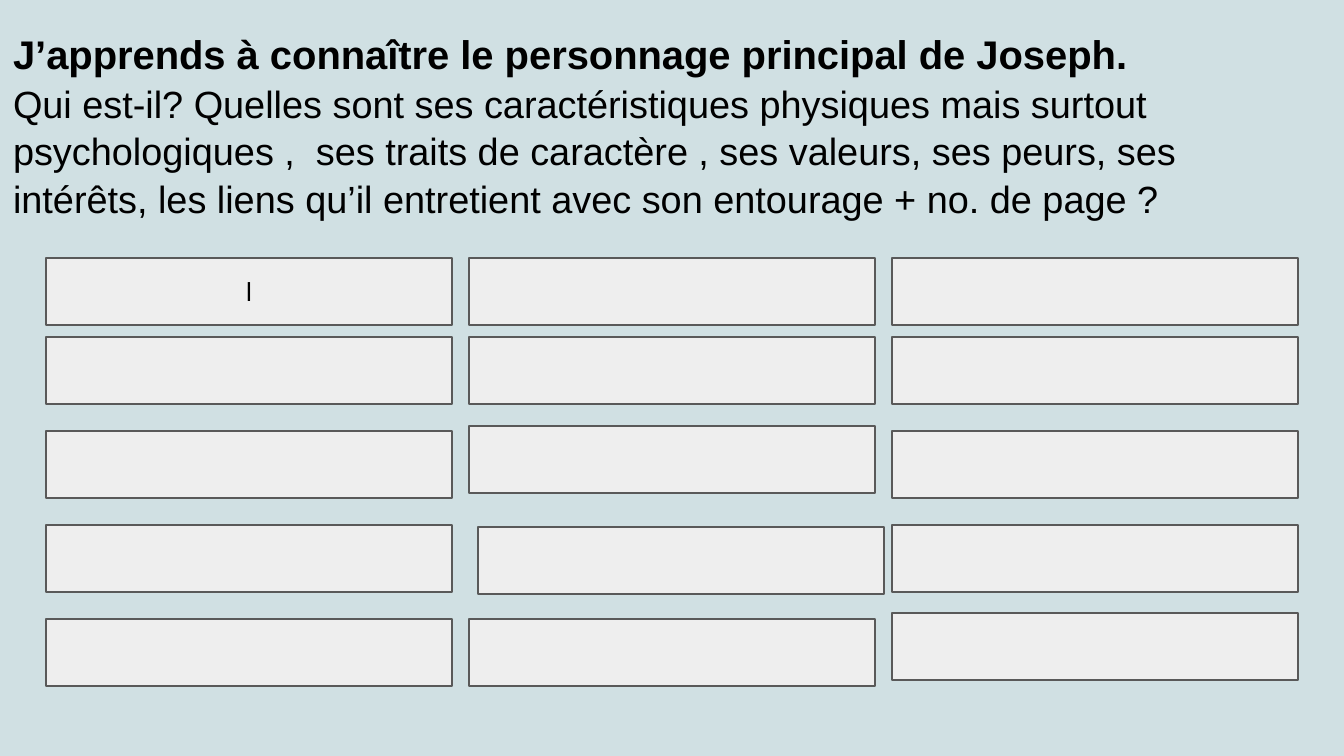
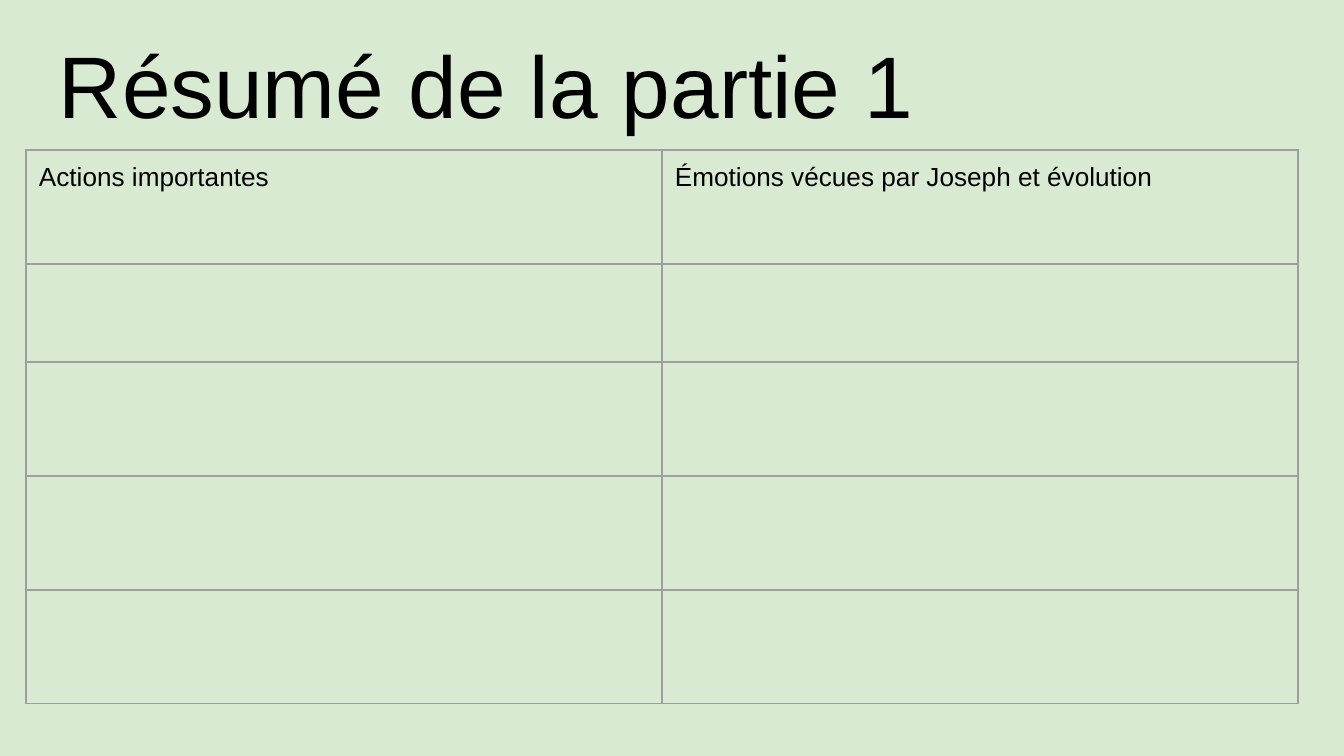
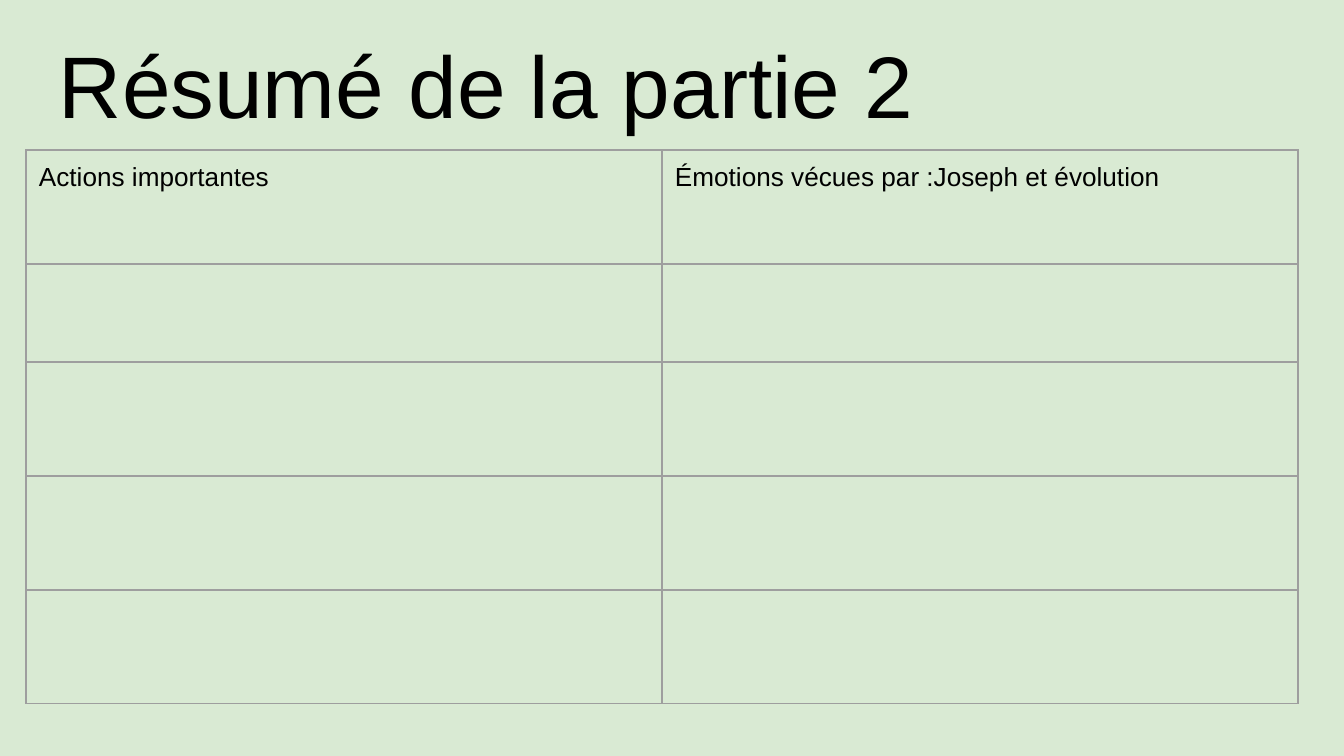
from itertools import product

from lxml.etree import SubElement
from pptx import Presentation
from pptx.dml.color import RGBColor
from pptx.enum.shapes import MSO_SHAPE as Shape
from pptx.enum.text import MSO_ANCHOR as Anchor, MSO_AUTO_SIZE as AutoSize, PP_ALIGN as Align
from pptx.oxml.ns import qn
from pptx.util import Emu, Pt

EMU_PER_PX = 914400 / 134.4
COLORS = {
    "blue": "D0E0E3",
    "green": "D9EAD3",
    "box": "EEEEEE",
    "outline": "595959",
    "grid": "9E9E9E",
    "text": "000000",
}
FONT = "Arial"
BODY_SIZE = 14
LINE_WIDTH = Pt(0.75)
INSET = 13


def px(length):
    return Emu(round(length * EMU_PER_PX))


def color(name):
    return RGBColor.from_string(COLORS[name])


class Deck:
    def __init__(self, width, height):
        self.presentation = Presentation()
        self.presentation.slide_width = px(width)
        self.presentation.slide_height = px(height)
        self.slide = None

    def add_slide(self, background):
        self.slide = self.presentation.slides.add_slide(self.presentation.slide_layouts[5])
        fill = self.slide.background.fill
        fill.solid()
        fill.fore_color.rgb = color(background)

    def style(self, paragraph, size, bold=False, align=Align.LEFT):
        paragraph.alignment = align
        for run in paragraph.runs:
            run.font.name = FONT
            run.font.size = Pt(size)
            run.font.bold = bold
            run.font.color.rgb = color("text")

    def set_insets(self, target, bottom=INSET):
        target.margin_left = target.margin_right = target.margin_top = px(INSET)
        target.margin_bottom = px(bottom)

    def title(self, lines, left, top, width, height, bottom=INSET, spacing=1.0):
        shape = self.slide.shapes.title
        shape.left, shape.top, shape.width, shape.height = map(px, (left, top, width, height))
        frame = shape.text_frame
        frame.text = "\n".join(text for text, size, bold in lines)
        frame.word_wrap = True
        frame.auto_size = AutoSize.NONE
        frame.vertical_anchor = Anchor.BOTTOM
        self.set_insets(frame, bottom)
        for paragraph, (text, size, bold) in zip(frame.paragraphs, lines):
            paragraph.space_before = Pt(0)
            paragraph.line_spacing = spacing
            self.style(paragraph, size, bold)

    def box(self, left, top, width, height, text=""):
        shape = self.slide.shapes.add_shape(
            Shape.FLOWCHART_PROCESS, *map(px, (left, top, width, height)))
        shape.shadow.inherit = False
        shape.fill.solid()
        shape.fill.fore_color.rgb = color("box")
        shape.line.color.rgb = color("outline")
        shape.line.width = LINE_WIDTH
        if text:
            frame = shape.text_frame
            frame.text = text
            frame.vertical_anchor = Anchor.MIDDLE
            self.set_insets(frame)
            self.style(frame.paragraphs[0], BODY_SIZE, align=Align.CENTER)

    def cell_borders(self, cell):
        properties = cell._tc.get_or_add_tcPr()
        for position, side in enumerate(("lnL", "lnR", "lnT", "lnB")):
            line = properties.makeelement(qn(f"a:{side}"), {"w": str(LINE_WIDTH)})
            fill = SubElement(line, qn("a:solidFill"))
            SubElement(fill, qn("a:srgbClr"), val=COLORS["grid"])
            properties.insert(position, line)

    def table(self, headers, left, top, column_width, row_heights):
        table = self.slide.shapes.add_table(
            len(row_heights), len(headers), px(left), px(top),
            px(column_width * len(headers)), px(sum(row_heights))).table
        table.first_row = table.horz_banding = False
        for column in table.columns:
            column.width = px(column_width)
        for row, height in zip(table.rows, row_heights):
            row.height = px(height)
        for cell, text in zip(table.rows[0].cells, headers):
            cell.text = text
            self.style(cell.text_frame.paragraphs[0], BODY_SIZE)
        for cell in table.iter_cells():
            self.set_insets(cell)
            cell.fill.background()
            self.cell_borders(cell)


def add_character_slide(deck):
    deck.add_slide("blue")
    deck.title([
        ("J’apprends à connaître le personnage principal de Joseph.", 21.4, True),
        ("Qui est-il? Quelles sont ses caractéristiques physiques mais surtout "
         "psychologiques ,  ses traits de caractère , ses valeurs, ses peurs, ses "
         "intérêts, les liens qu’il entretient avec son entourage + no. de page ?", 20.3, False),
    ], 0, 20, 1253, 305, bottom=104, spacing=1.05)
    row_tops = [258] + [337 + 94 * step for step in range(4)]
    column_lefts = [46 + 423 * step for step in range(3)]
    nudges = {(2, 1): (0, -5), (3, 1): (9, 2), (4, 2): (0, -6)}
    for row, column in product(range(5), range(3)):
        shift_x, shift_y = nudges.get((row, column), (0, 0))
        deck.box(column_lefts[column] + shift_x, row_tops[row] + shift_y, 406, 67,
                 "l" if (row, column) == (0, 0) else "")


def add_summary_slide(deck, part, emotions):
    deck.add_slide("green")
    deck.title([(f"Résumé de la partie {part}", 46.8, False)], 46, 109, 1253, 40)
    deck.table(["Actions importantes", emotions], 26, 150, 636, [114, 98, 114, 114, 114])


def main():
    deck = Deck(1344, 756)
    add_character_slide(deck)
    add_summary_slide(deck, 1, "Émotions vécues par Joseph et évolution")
    add_summary_slide(deck, 2, "Émotions vécues par :Joseph et évolution")
    deck.presentation.save("out.pptx")


if __name__ == "__main__":
    main()
